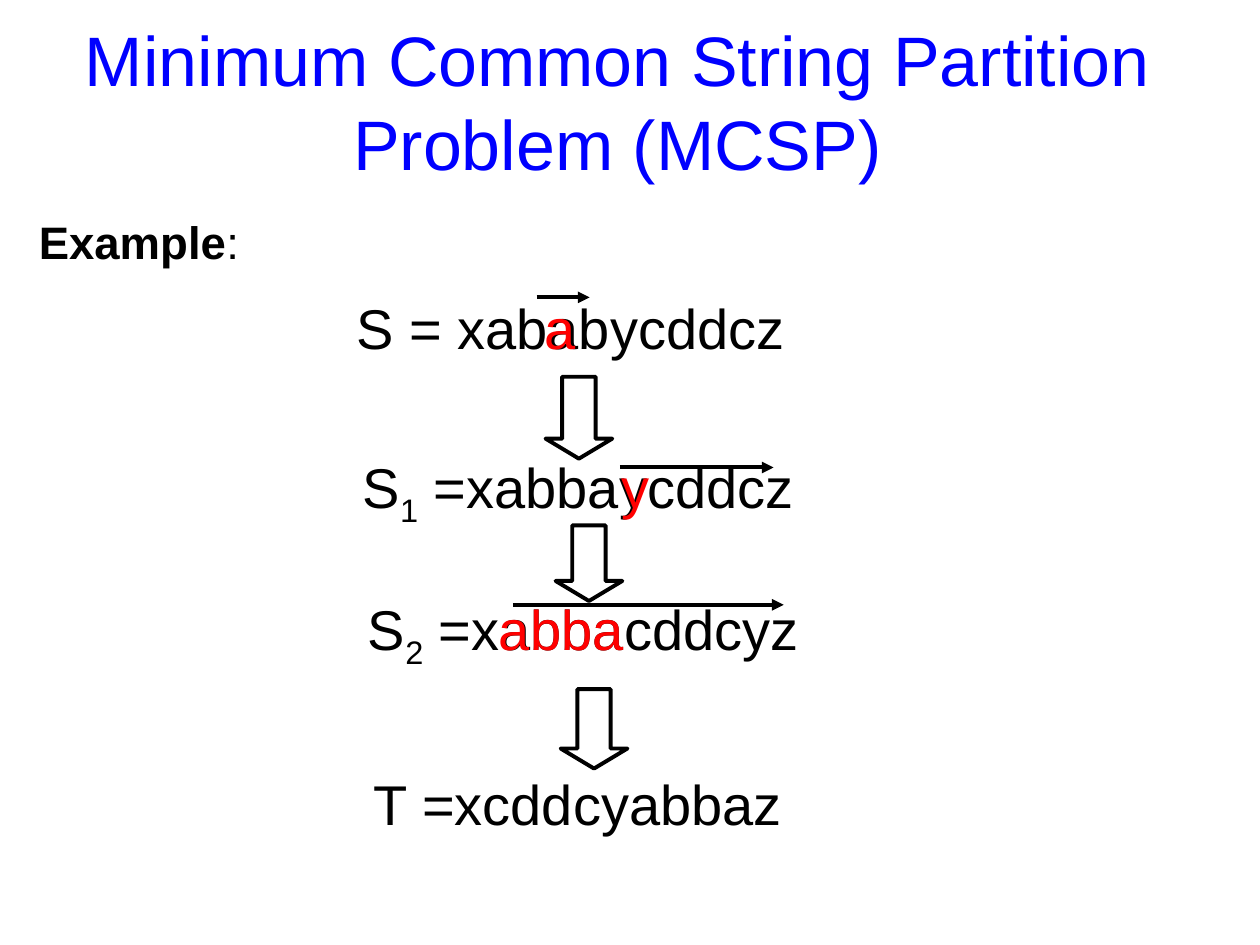
from lxml import etree
from pptx import Presentation
from pptx.dml.color import RGBColor as RGB
from pptx.enum.shapes import MSO_CONNECTOR as LINE, MSO_SHAPE as SHAPE
from pptx.enum.text import MSO_ANCHOR as ANCHOR, MSO_AUTO_SIZE as FIT, PP_ALIGN as ALIGN
from pptx.oxml.ns import qn
from pptx.util import Inches, Pt

HUES = {"ink": "000000", "title": "0000FF", "mark": "FF0000", "paper": "FFFFFF"}


def hue(name):
    return RGB.from_string(HUES[name])


def style(para, size, color, align=ALIGN.CENTER):
    para.alignment = align
    para.font.name = "Arial"
    para.font.size = Pt(size)
    para.font.color.rgb = hue(color)


def add_title(slide, box, text):
    title = slide.shapes.title
    title.left, title.top, title.width, title.height = map(Inches, box)
    frame = title.text_frame
    frame.text = text
    frame.word_wrap = True
    frame.auto_size = FIT.NONE
    frame.vertical_anchor = ANCHOR.MIDDLE
    style(frame.paragraphs[0], 40, "title")


def add_text(slide, box, parts, color="ink", size=32, align=ALIGN.CENTER, wrap=False):
    """Add one line made of (text, look) parts; look is "", "bold" or "sub"."""
    frame = slide.shapes.add_textbox(*map(Inches, box)).text_frame
    frame.word_wrap = wrap
    para = frame.paragraphs[0]
    style(para, size, color, align)
    for text, look in parts:
        run = para.add_run()
        run.text = text
        if look == "bold":
            run.font.bold = True
        elif look == "sub":
            run._r.get_or_add_rPr().set("baseline", "-25000")


def add_span(slide, left, right, y):
    """Draw the arrow over the part of a string that changes."""
    line = slide.shapes.add_connector(
        LINE.STRAIGHT, Inches(left), Inches(y), Inches(right), Inches(y))
    line.line.color.rgb = hue("ink")
    line.line.width = Pt(2.25)
    etree.SubElement(line.line._get_or_add_ln(), qn("a:tailEnd"), type="triangle")
    etree.SubElement(line._element.spPr, qn("a:effectLst"))


def add_step(slide, box):
    arrow = slide.shapes.add_shape(SHAPE.DOWN_ARROW, *map(Inches, box))
    arrow.adjustments[0] = 0.5
    arrow.adjustments[1] = 0.3
    arrow.shadow.inherit = False
    arrow.fill.solid()
    arrow.fill.fore_color.rgb = hue("paper")
    arrow.line.color.rgb = hue("ink")
    arrow.line.width = Pt(2.25)


def add_chain(slide):
    """Show each string, its marked part and the step to the next."""
    rows = [
        ((2.73, 2.28, 3.6, 0.64), [("S = xababycddcz", "")]),
        ((2.78, 3.54, 3.62, 0.71), [("S", ""), ("1", "sub"), (" =xabbaycddcz", "")]),
        ((2.82, 4.67, 3.62, 0.71), [("S", ""), ("2", "sub"), (" =xabbacddcyz", "")]),
        ((2.86, 6.06, 3.45, 0.64), [("T =xcddcyabbaz", "")]),
    ]
    marks = [("a", 4.22, 2.28, 0.45), ("y", 4.83, 3.54, 0.42), ("abba", 3.86, 4.67, 1.19)]
    spans = [(4.26, 4.68, 2.36), (4.92, 6.14, 3.71), (4.07, 6.22, 4.8)]
    steps = [(4.33, 2.99, 0.65), (4.41, 4.17, 0.6), (4.45, 5.47, 0.63)]
    for box, parts in rows:
        add_text(slide, box, parts)
    for text, left, top, width in marks:
        add_text(slide, (left, top, width, 0.64), [(text, "")], "mark")
    for span in spans:
        add_span(slide, *span)
    for left, top, height in steps:
        add_step(slide, (left, top, 0.53, height))


def main():
    deck = Presentation()
    deck.slide_width, deck.slide_height = Inches(10), Inches(7.5)
    slide = deck.slides.add_slide(deck.slide_layouts[5])
    add_title(slide, (0.21, 0.26, 9.38, 1.08),
              "Minimum Common String Partition Problem (MCSP)")
    add_text(slide, (0.21, 1.65, 9.79, 0.54), [("Example", "bold"), (":", "")],
             size=26, align=ALIGN.LEFT, wrap=True)
    add_chain(slide)
    deck.save("out.pptx")


if __name__ == "__main__":
    main()
